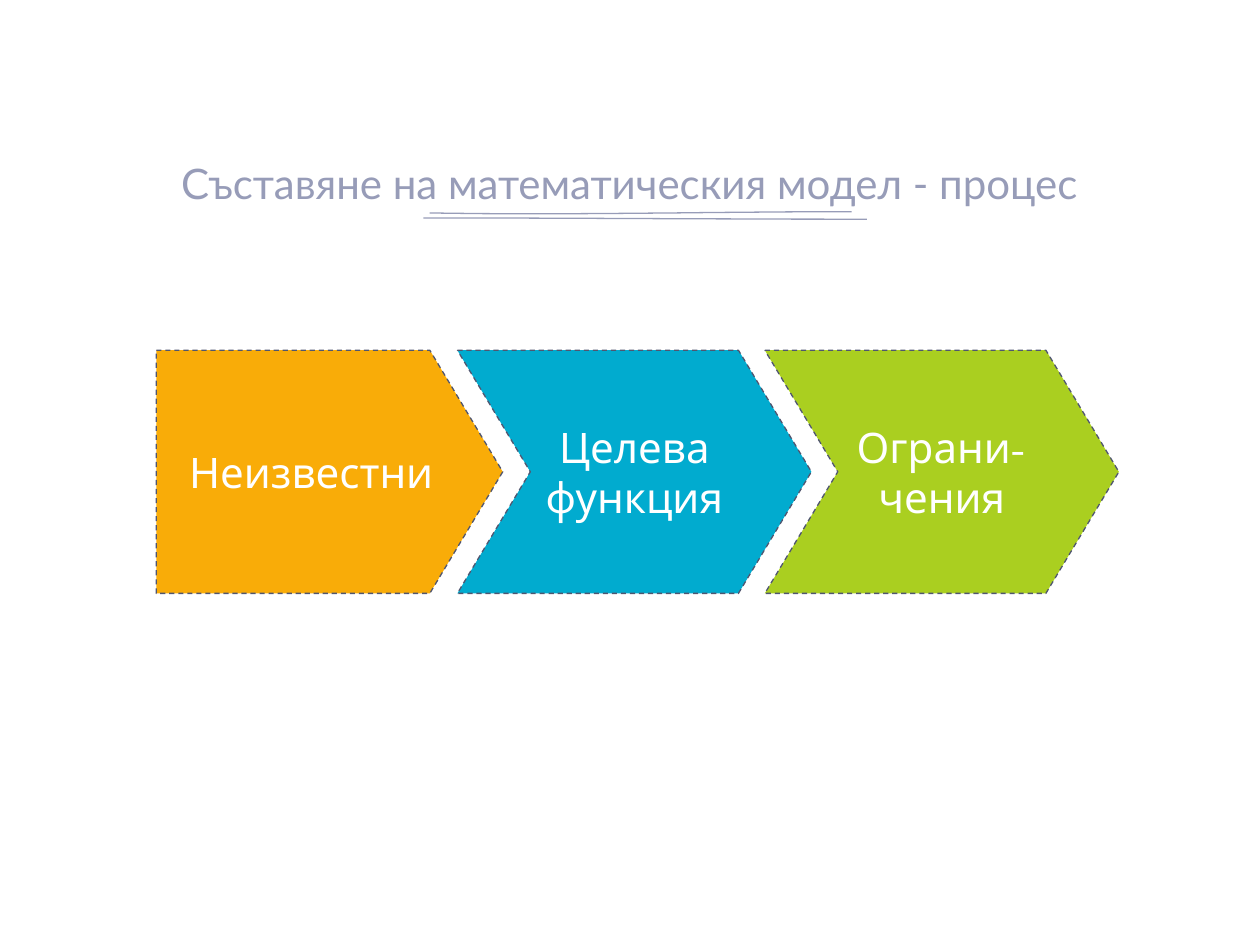
from pptx import Presentation
from pptx.dml.color import RGBColor
from pptx.enum import dml, shapes, text
from pptx.util import Inches, Pt

TITLE = "Съставяне на математическия модел - процес"
KIND = shapes.MSO_SHAPE
# label, shape, left, width, point depth, fill
STEPS = [
    ("Неизвестни", KIND.PENTAGON, 1.24, 2.75, 0.3, "F9AC08"),
    ("Целева функция", KIND.CHEVRON, 3.63, 2.81, 0.3, "01ABCF"),
    ("Ограни-чения", KIND.CHEVRON, 6.07, 2.81, 0.3, "AACF20"),
]
TOP, HIGH = 2.78, 1.93
# four control points of each underline stroke
STROKES = [
    [(3.41, 1.69), (4.53, 1.71), (5.64, 1.68), (6.76, 1.68)],
    [(3.36, 1.73), (4.53, 1.73), (5.71, 1.74), (6.88, 1.74)],
]
THEME = {
    "head": "979CB8", "edge": "505670", "label": "FFFFFF",
    "title font": "Lato", "step font": "League Spartan",
    "size": 24, "line": 0.75,
}


def rgb(name):
    return RGBColor.from_string(THEME.get(name, name))


def write(shape, words, font, color, anchor):
    frame = shape.text_frame
    frame.text = words
    frame.word_wrap = True
    frame.vertical_anchor = anchor
    frame.margin_left = frame.margin_right = Inches(0.1)
    frame.margin_top = frame.margin_bottom = Inches(0.1)
    para = frame.paragraphs[0]
    para.alignment = text.PP_ALIGN.CENTER
    face = para.runs[0].font
    face.name = THEME[font]
    face.size = Pt(THEME["size"])
    face.color.rgb = rgb(color)


def outline(shape, color):
    shape.shadow.inherit = False
    shape.line.color.rgb = rgb(color)
    shape.line.width = Pt(THEME["line"])


def curve(knots, count=24):
    """Points along the cubic Bezier curve with the given control points."""
    for i in range(count + 1):
        t = i / count
        parts = ((1 - t) ** 3, 3 * t * (1 - t) ** 2, 3 * t * t * (1 - t), t ** 3)
        yield tuple(Inches(sum(w * k[axis] for w, k in zip(parts, knots)))
                    for axis in (0, 1))


def stroke(slide, knots):
    first, *rest = curve(knots)
    pen = slide.shapes.build_freeform(*first)
    pen.add_line_segments(rest, close=False)
    shape = pen.convert_to_shape()
    shape.fill.background()
    outline(shape, "head")


def step(slide, label, kind, left, width, depth, fill):
    shape = slide.shapes.add_shape(
        kind, Inches(left), Inches(TOP), Inches(width), Inches(HIGH))
    shape.adjustments[0] = depth
    shape.fill.solid()
    shape.fill.fore_color.rgb = rgb(fill)
    outline(shape, "edge")
    shape.line.dash_style = dml.MSO_LINE.DASH
    write(shape, label, "step font", "label", text.MSO_ANCHOR.MIDDLE)


def main():
    deck = Presentation()
    deck.slide_width, deck.slide_height = Inches(10), Inches(7.5)
    slide = deck.slides.add_slide(deck.slide_layouts[6])
    for knots in STROKES:
        stroke(slide, knots)
    box = slide.shapes.add_textbox(
        Inches(1.12), Inches(0.75), Inches(7.75), Inches(1))
    write(box, TITLE, "title font", "head", text.MSO_ANCHOR.BOTTOM)
    for item in STEPS:
        step(slide, *item)
    deck.save("out.pptx")


if __name__ == "__main__":
    main()
